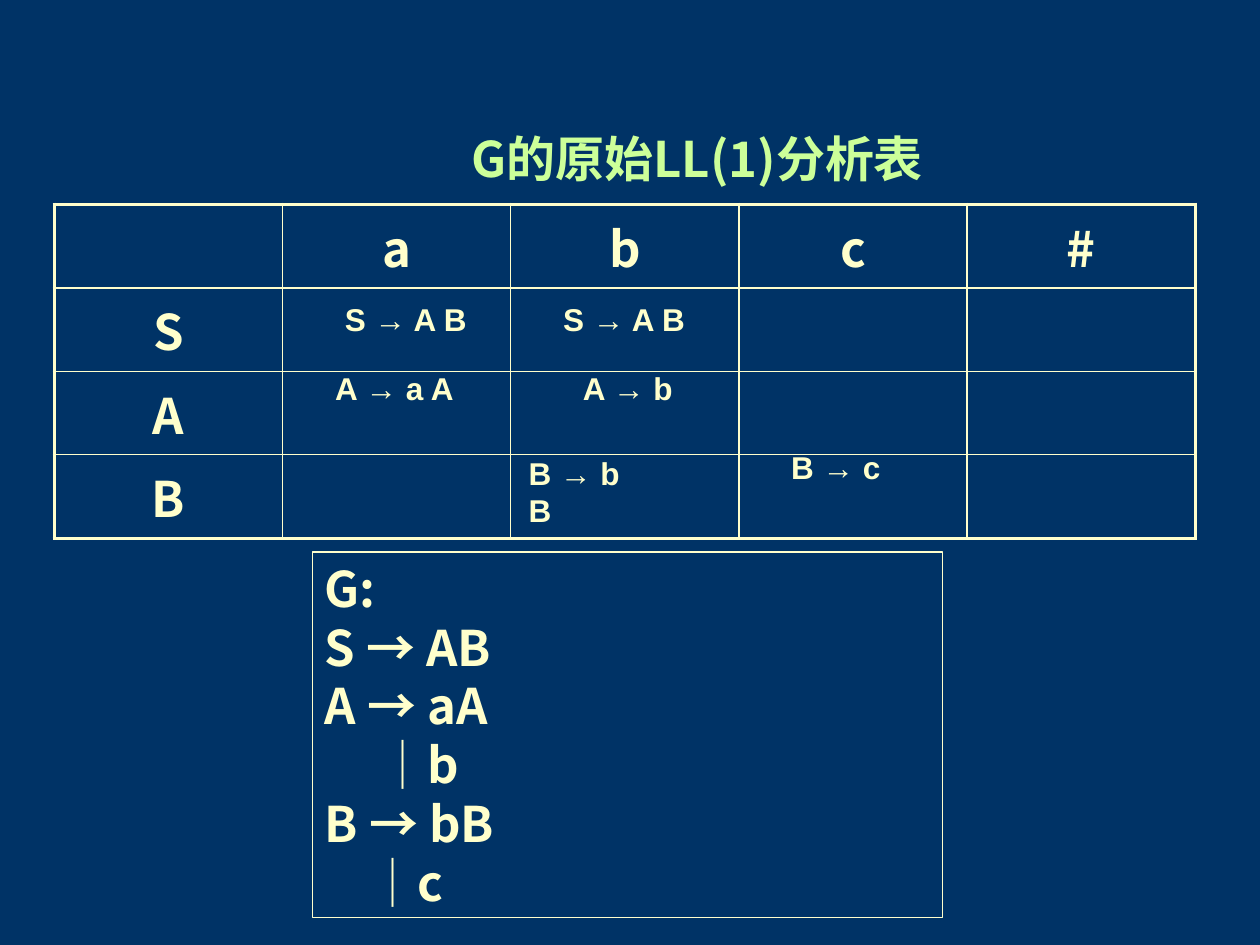
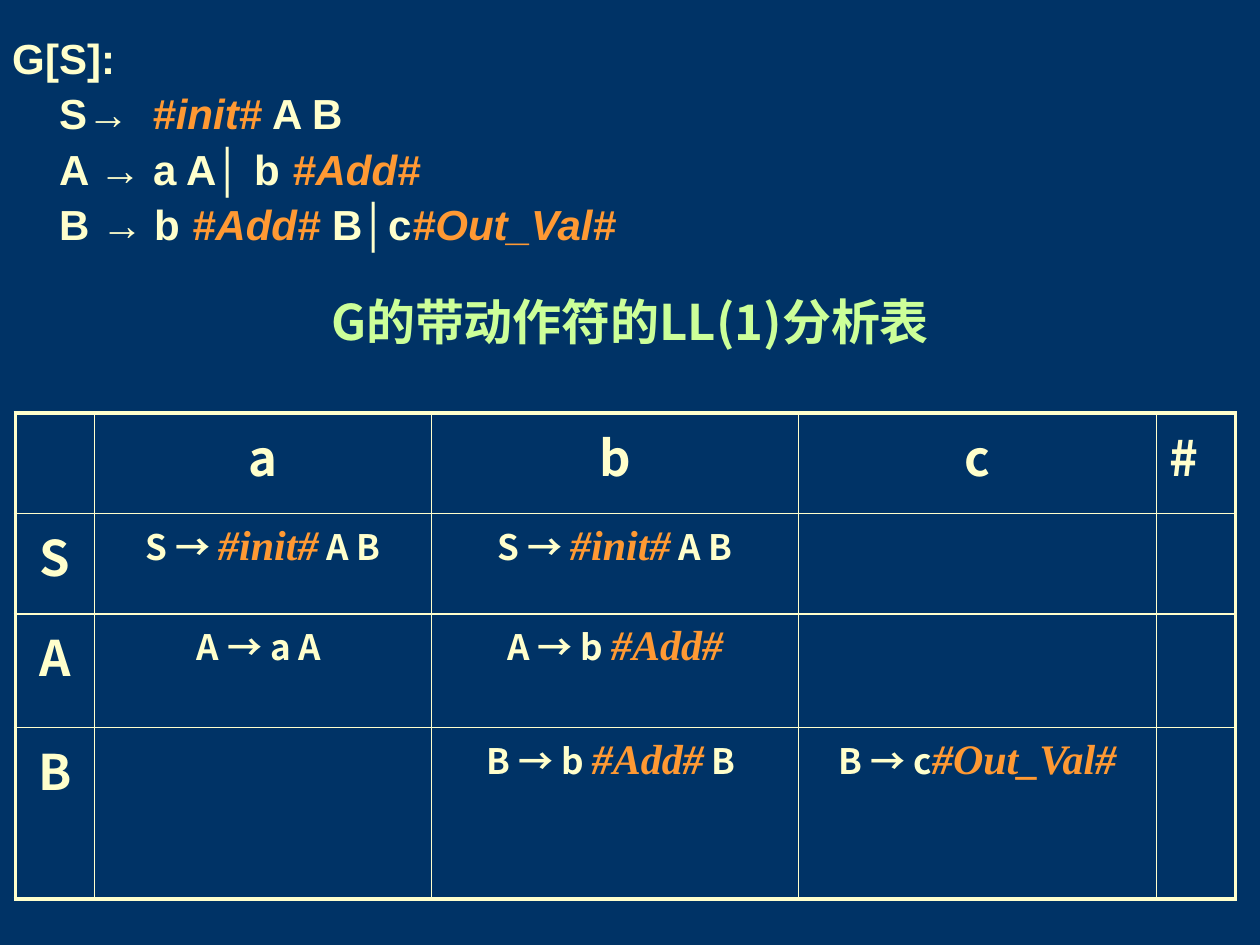
from lxml.etree import SubElement
from pptx import Presentation
from pptx.dml.color import RGBColor
from pptx.enum.shapes import MSO_SHAPE
from pptx.enum.text import MSO_ANCHOR, MSO_AUTO_SIZE, PP_ALIGN
from pptx.oxml import parse_xml
from pptx.oxml.ns import nsdecls, qn
from pptx.util import Pt

NAVY = RGBColor(0x00, 0x33, 0x66)
CREAM = RGBColor(0xFF, 0xFF, 0xCC)
LIME = RGBColor(0xCC, 0xFF, 0x99)
AMBER = RGBColor(0xFF, 0x99, 0x33)
NOTO, ARIAL, TIMES = "Noto Sans CJK SC", "Arial", "Times New Roman"
THIN, THICK = 1, 2.25
INIT, ADD, OUT = "#init#", "#Add#", "#Out_Val#"


class Deck:
    def __init__(self):
        self.show = Presentation()
        self.show.slide_width, self.show.slide_height = Pt(720), Pt(540)
        fill = self.show.slide_master.background.fill
        fill.solid()
        fill.fore_color.rgb = NAVY
        self.slide = None

    def page(self, title, *spot):
        self.slide = self.show.slides.add_slide(self.show.slide_layouts[5])
        head = self.slide.shapes.title
        head.left, head.top, head.width, head.height = map(Pt, spot)
        frame = head.text_frame
        frame.auto_size = MSO_AUTO_SIZE.NONE
        frame.vertical_anchor = MSO_ANCHOR.MIDDLE
        para = frame.paragraphs[0]
        para.alignment = PP_ALIGN.CENTER
        para.line_spacing = 0.85
        self.run(para, title, NOTO, 28, LIME)

    def run(self, para, text, face, size, color=CREAM):
        run = para.add_run()
        run.text = text
        font = run.font
        font.name, font.size, font.bold = face, Pt(size), True
        font.color.rgb = color
        SubElement(font._element, qn("a:ea")).set("typeface", face)
        return run

    def mix(self, para, parts, face, size, hot):
        for part in parts:
            if part in (INIT, ADD, OUT):
                self.run(para, part, *hot, AMBER).font.italic = True
            else:
                self.run(para, part, face, size)

    def lines(self, frame, rows, face, size, space=None):
        for i, (indent, *parts) in enumerate(rows):
            para = frame.add_paragraph() if i else frame.paragraphs[0]
            para.alignment = PP_ALIGN.LEFT
            if indent:
                props = para._p.get_or_add_pPr()
                props.set("marL", str(Pt(indent)))
                props.set("indent", "0")
            if i and space:
                para.line_spacing = space
            self.mix(para, parts, face, size, (face, size))

    def text(self, spot, rows, size, wrap=True, space=None):
        box = self.slide.shapes.add_textbox(*map(Pt, spot))
        frame = box.text_frame
        frame.word_wrap = wrap
        frame.auto_size = MSO_AUTO_SIZE.SHAPE_TO_FIT_TEXT
        self.lines(frame, rows, ARIAL, size, space)

    def panel(self, spot, rows):
        box = self.slide.shapes.add_shape(MSO_SHAPE.RECTANGLE, *map(Pt, spot))
        box.shadow.inherit = False
        box.fill.background()
        box.line.color.rgb = CREAM
        box.line.width = Pt(0.75)
        frame = box.text_frame
        frame.word_wrap = True
        frame.auto_size = MSO_AUTO_SIZE.SHAPE_TO_FIT_TEXT
        frame.vertical_anchor = MSO_ANCHOR.TOP
        self.lines(frame, rows, NOTO, 28)

    def edges(self, cell, sides):
        props = cell._tc.get_or_add_tcPr()
        for i, (side, outer) in enumerate(sides):
            width = Pt(THICK if outer else THIN)
            props.insert(i, parse_xml(
                f'<a:ln{side} {nsdecls("a")} w="{width}"><a:solidFill>'
                f'<a:srgbClr val="{CREAM}"/></a:solidFill></a:ln{side}>'))

    def grid(self, left, top, cols, rows, rules, last=PP_ALIGN.CENTER):
        shape = self.slide.shapes.add_table(
            len(rows), len(cols), Pt(left), Pt(top), Pt(sum(cols)), Pt(sum(rows)))
        table = shape.table
        table.first_row = table.horz_banding = False
        for col, width in zip(table.columns, cols):
            col.width = Pt(width)
        for row, height in zip(table.rows, rows):
            row.height = Pt(height)
        words = {(0, c): (mark,) for c, mark in enumerate("abc#", 1)}
        words |= {(r, 0): (mark,) for r, mark in enumerate("SAB", 1)}
        words |= rules
        end, low = len(cols) - 1, len(rows) - 1
        for r in range(len(rows)):
            for c in range(len(cols)):
                cell = table.cell(r, c)
                cell.fill.background()
                self.edges(cell, (("L", c == 0), ("R", c == end),
                                  ("T", r == 0), ("B", r == low)))
                if (r, c) in words:
                    para = cell.text_frame.paragraphs[0]
                    para.alignment = last if c == end else PP_ALIGN.CENTER
                    size = 20 if r and c else 28
                    self.mix(para, words[r, c], NOTO, size, (TIMES, 24))


def main():
    deck = Deck()

    deck.page("G的原始LL(1)分析表", 108, 48, 581, 90)
    deck.grid(31, 116.8, [130.4] * 5, [41, 41, 43, 48], {})
    deck.panel((178.5, 315.5, 360, 209), [
        (0, "G:"), (0, "S → AB"), (0, "A → aA"),
        (31, "│b"), (0, "B → bB"), (25, "│c")])
    labels = [
        ("S → A B", 190, 168, 86), ("S → A B", 314.7, 168, 86),
        ("A → a A", 184.5, 207.5, 83.5), ("A → b", 326, 207.5, 67),
        ("B → b B", 295, 255.6, 84), ("B → c", 445, 252.7, 85)]
    for rule, left, top, width in labels:
        deck.text((left, top, width, 29), [(0, rule)], 18, wrap=rule == "B → c")

    deck.page("G的带动作符的LL(1)分析表", 36, 141, 648, 90)
    start = ("S → ", INIT, " A B")
    rules = {
        (1, 1): start, (1, 2): start,
        (2, 1): ("A → a A ",), (2, 2): ("A → b ", ADD),
        (3, 2): ("B → b ", ADD, " B "), (3, 3): ("B → c", OUT)}
    deck.grid(8.7, 236, [45.3, 192.7, 209.6, 204.6, 45.3],
              [57.4, 57.4, 65, 98], rules, PP_ALIGN.LEFT)
    deck.text((0, 15, 505, 131), [
        (0, "G[S]:"),
        (26.7, "S→  ", INIT, " A B"),
        (26.7, "A → a A│ b ", ADD),
        (26.7, "B → b ", ADD, " B│c", OUT)], 24, space=1.1)

    deck.show.save("out.pptx")


if __name__ == "__main__":
    main()
